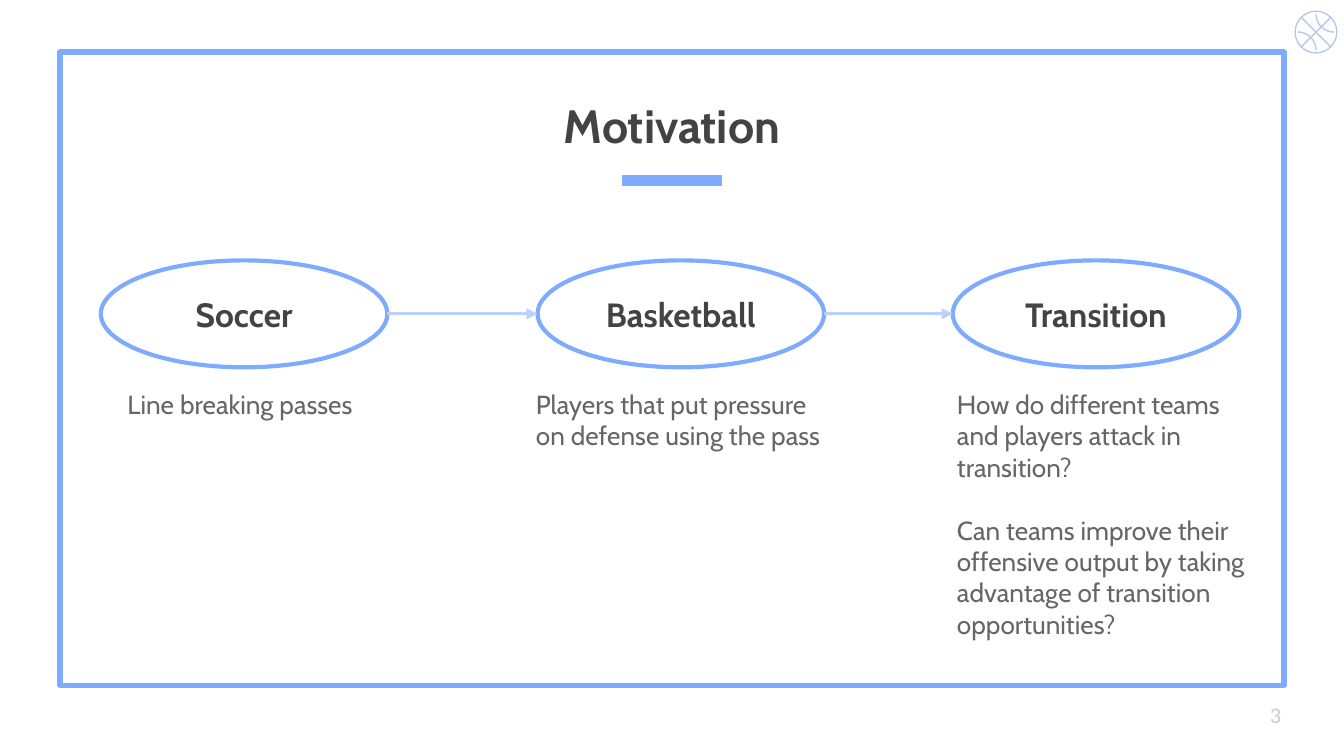
from math import cos, pi, sin

from lxml.etree import SubElement
from pptx import Presentation
from pptx.dml.color import RGBColor
from pptx.enum.shapes import MSO_CONNECTOR as Connector, MSO_SHAPE as Shape
from pptx.enum.text import MSO_ANCHOR as Anchor, PP_ALIGN as Align
from pptx.oxml.ns import qn
from pptx.util import Pt

BLUE = RGBColor(0x7F, 0xAB, 0xFF)
PALE_BLUE = RGBColor(0xBA, 0xD1, 0xFD)
BALL_BLUE = RGBColor(0xB7, 0xC8, 0xE9)
DARK = RGBColor(0x43, 0x43, 0x43)
GREY = RGBColor(0x66, 0x66, 0x66)
LIGHT_GREY = RGBColor(0xCC, 0xCC, 0xCC)

TITLE = "Motivation"
PAGE_NUMBER = "3"
STAGES = [
    ("Soccer", 54, 61.2, ["Line breaking passes"]),
    ("Basketball", 288, 280, ["Players that put pressure on defense using the pass"]),
    ("Transition", 510.4, 505.6, [
        "How do different teams and players attack in transition?",
        "Can teams improve their offensive output by taking advantage of "
        "transition opportunities?",
    ]),
]

SLIDE_W, SLIDE_H = 720, 405
OVAL_TOP, OVAL_W, OVAL_H = 139.5, 153.5, 57.3
NOTE_TOP, NOTE_W, NOTE_LINE = 200.9, 173.5, 16.9
BALL_X, BALL_Y, BALL_R = 705, 17.2, 11.2
SEAM_R = 9.7

prs = Presentation()
prs.slide_width, prs.slide_height = Pt(SLIDE_W), Pt(SLIDE_H)
slide = prs.slides.add_slide(prs.slide_layouts[6])


def write(shape, paragraphs, size, color, font="Cabin", bold=False,
          align=Align.LEFT, anchor=Anchor.TOP):
    frame = shape.text_frame
    frame.word_wrap = True
    frame.vertical_anchor = anchor
    frame.margin_left = frame.margin_right = Pt(7.2)
    frame.margin_top = frame.margin_bottom = Pt(7.2)
    for i, text in enumerate(paragraphs):
        paragraph = frame.add_paragraph() if i else frame.paragraphs[0]
        paragraph.alignment = align
        if i:
            paragraph.space_before = Pt(NOTE_LINE)
        run = paragraph.add_run()
        run.text = text
        run.font.name, run.font.size, run.font.bold = font, Pt(size), bold
        run.font.color.rgb = color


def add_text(left, top, width, height, *args, **style):
    box = slide.shapes.add_textbox(Pt(left), Pt(top), Pt(width), Pt(height))
    write(box, *args, **style)


def outline(shape, color, weight):
    shape.shadow.inherit = False
    shape.fill.background()
    shape.line.color.rgb = color
    shape.line.width = Pt(weight)


def add_outlined(kind, left, top, width, height, color, weight):
    shape = slide.shapes.add_shape(kind, Pt(left), Pt(top), Pt(width), Pt(height))
    outline(shape, color, weight)
    return shape


def add_line(x1, x2, y, color, weight, arrow=False):
    line = slide.shapes.add_connector(Connector.STRAIGHT, Pt(x1), Pt(y), Pt(x2), Pt(y))
    line.line.color.rgb = color
    line.line.width = Pt(weight)
    if arrow:
        SubElement(line.line._get_or_add_ln(), qn("a:tailEnd"), type="triangle")
    SubElement(line._element.spPr, qn("a:effectLst"))


def seam_arc(side):
    angles = [i * pi / 24 for i in range(13)]
    return [(side * (SEAM_R - SEAM_R * cos(a)), side * (SEAM_R * sin(a) - SEAM_R))
            for a in angles]


def add_ball():
    add_outlined(Shape.OVAL, BALL_X - BALL_R, BALL_Y - BALL_R,
                 2 * BALL_R, 2 * BALL_R, BALL_BLUE, 0.75)
    reach = BALL_R * cos(pi / 4)
    seams = [[(-reach, -reach), (reach, reach)], [(-reach, reach), (reach, -reach)],
             seam_arc(1), seam_arc(-1)]
    for seam in seams:
        points = [(Pt(BALL_X + x), Pt(BALL_Y + y)) for x, y in seam]
        builder = slide.shapes.build_freeform(*points[0])
        builder.add_line_segments(points[1:], close=False)
        outline(builder.convert_to_shape(), BALL_BLUE, 0.75)


add_outlined(Shape.RECTANGLE, 32.3, 28, 655.6, 339.2, BLUE, 3)
add_line(333.2, 386.8, 96.5, BLUE, 6)
add_text(0, 17.3, SLIDE_W, 72, [TITLE], 25, DARK, bold=True,
         align=Align.CENTER, anchor=Anchor.BOTTOM)
add_text(673.2, 367.2, 43.2, 31, [PAGE_NUMBER], 12, LIGHT_GREY,
         font="Calibri", anchor=Anchor.MIDDLE)

for name, oval_left, note_left, notes in STAGES:
    note_height = 98 if len(notes) > 1 else 49.7
    add_text(note_left, NOTE_TOP, NOTE_W, note_height, notes, 14, GREY)
    oval = add_outlined(Shape.OVAL, oval_left, OVAL_TOP, OVAL_W, OVAL_H, BLUE, 2.25)
    write(oval, [name], 18, DARK, bold=True, align=Align.CENTER, anchor=Anchor.MIDDLE)

for (_, start, *_), (_, end, *_) in zip(STAGES, STAGES[1:]):
    add_line(start + OVAL_W, end, OVAL_TOP + OVAL_H / 2, PALE_BLUE, 1.5, arrow=True)

add_ball()
prs.save("out.pptx")
